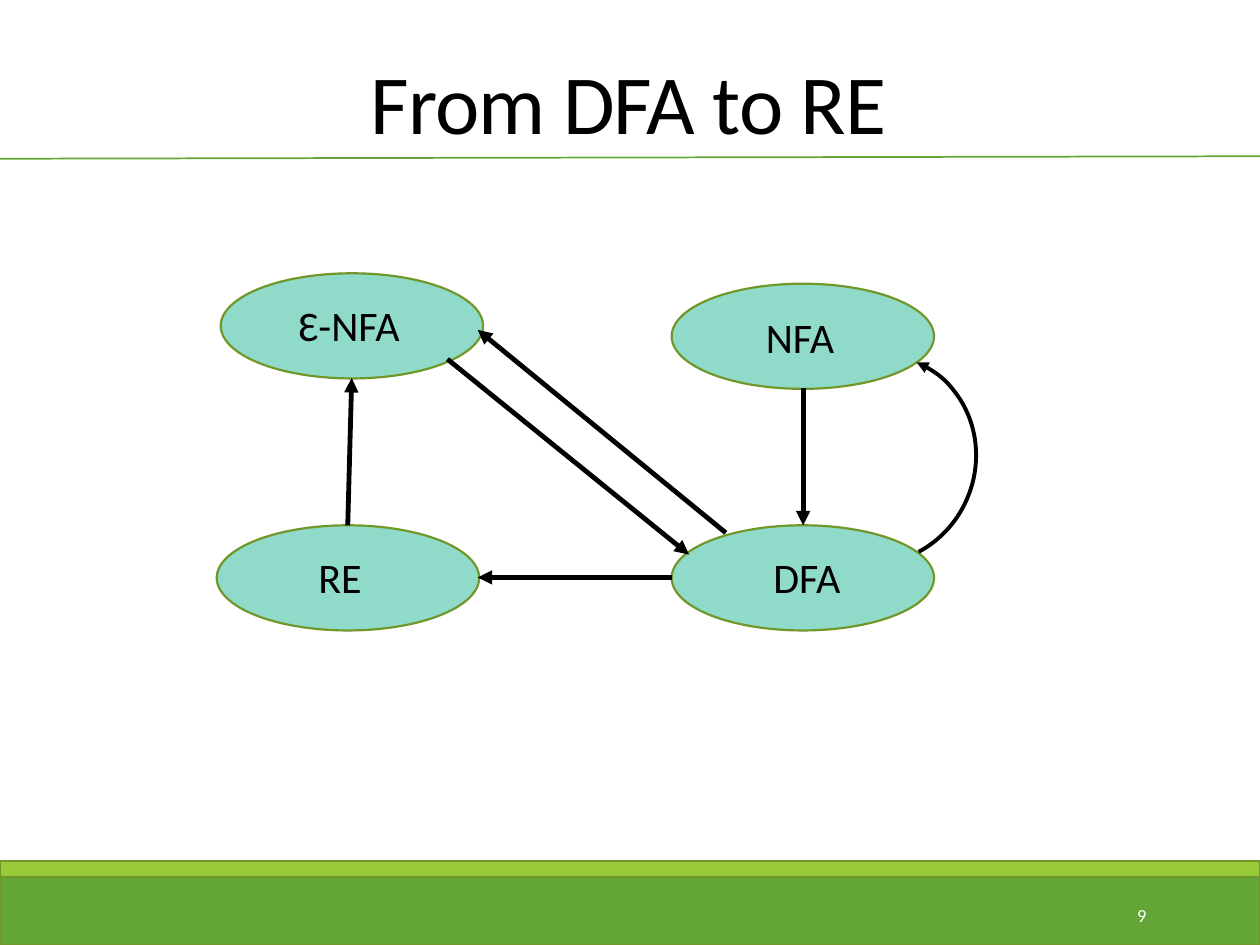
from lxml import etree
from pptx import Presentation
from pptx.dml.color import RGBColor
from pptx.enum.shapes import MSO_CONNECTOR, MSO_SHAPE
from pptx.enum.text import MSO_ANCHOR, MSO_AUTO_SIZE, PP_ALIGN
from pptx.oxml.ns import qn
from pptx.util import Cm, Pt

RECT, OVAL, ARC = MSO_SHAPE.RECTANGLE, MSO_SHAPE.OVAL, MSO_SHAPE.ARC
STRAIGHT = MSO_CONNECTOR.STRAIGHT
BOTTOM, MIDDLE = MSO_ANCHOR.BOTTOM, MSO_ANCHOR.MIDDLE
CENTER, RIGHT = PP_ALIGN.CENTER, PP_ALIGN.RIGHT
FIXED, GROW = MSO_AUTO_SIZE.NONE, MSO_AUTO_SIZE.SHAPE_TO_FIT_TEXT

BLACK = RGBColor(0, 0, 0)
WHITE = RGBColor(0xFF, 0xFF, 0xFF)
GREEN = RGBColor(0x63, 0xA5, 0x37)
LIME = RGBColor(0x99, 0xCB, 0x38)
OLIVE = RGBColor(0x71, 0x96, 0x29)
MINT = RGBColor(0x8F, 0xDA, 0xC8)

FONT = "Calibri"
NODE_W, NODE_H = 5.29, 2.12
NODES = [(4.45, 5.51), (4.37, 10.59), (13.54, 5.72), (13.54, 10.59)]
ARROWS = [
    (16.19, 7.83, 16.19, 10.59),
    (13.54, 11.64, 9.63, 11.64),
    (7.01, 10.59, 7.09, 7.62),
    (9.02, 7.24, 13.89, 11.18),
    (14.63, 10.74, 9.63, 6.65),
]
LABELS = [
    ("\u0510-NFA", 5.77, 5.92, 2.57),
    ("RE", 6.17, 11, 1.4),
    ("NFA", 15.19, 6.15, 1.91),
    ("DFA", 15.34, 11, 1.91),
]


def set_line(shape, color, width):
    shape.line.color.rgb = color
    shape.line.width = Pt(width)


def set_font(p, size, color):
    p.font.name = FONT
    p.font.size = Pt(size)
    p.font.color.rgb = color


def add_arrowhead(shape, end):
    ln = shape.line._get_or_add_ln()
    etree.SubElement(ln, qn(f"a:{end}"), type="triangle")


def add_filled(s, kind, x, y, w, h, fill):
    sp = s.shapes.add_shape(kind, Cm(x), Cm(y), Cm(w), Cm(h))
    sp.shadow.inherit = False
    sp.fill.solid()
    sp.fill.fore_color.rgb = fill
    set_line(sp, OLIVE, 1.25)


def add_straight(s, x1, y1, x2, y2, color, width):
    line = s.shapes.add_connector(STRAIGHT, Cm(x1), Cm(y1), Cm(x2), Cm(y2))
    set_line(line, color, width)
    etree.SubElement(line._element.spPr, qn("a:effectLst"))
    return line


def add_curved_arrow(s):
    arc = s.shapes.add_shape(ARC, Cm(15.65), Cm(7.14), Cm(4.01), Cm(4.24))
    arc.adjustments[0] = 162.28
    arc.adjustments[1] = 25.64
    arc.rotation = 22.4
    arc.shadow.inherit = False
    arc.fill.background()
    set_line(arc, BLACK, 2.25)
    add_arrowhead(arc, "headEnd")


def add_text(s, text, x, y, w, h, size, color):
    tf = s.shapes.add_textbox(Cm(x), Cm(y), Cm(w), Cm(h)).text_frame
    tf.text = text
    set_font(tf.paragraphs[0], size, color)
    return tf


def add_title(s, text):
    title = s.shapes.title
    title.left, title.top, title.width, title.height = Cm(1.24), Cm(0.64), Cm(22.86), Cm(2.54)
    tf = title.text_frame
    tf.text = text
    tf.auto_size = FIXED
    tf.vertical_anchor = BOTTOM
    p = tf.paragraphs[0]
    p.alignment = CENTER
    p.line_spacing = 0.85
    set_font(p, 48, BLACK)
    p.runs[0].font._element.set("spc", "-50")


def add_page_number(s, number):
    tf = add_text(s, number, 20.62, 17.93, 2.74, 1.02, 10.5, WHITE)
    tf.word_wrap = True
    tf.vertical_anchor = MIDDLE
    tf.paragraphs[0].alignment = RIGHT


def main():
    prs = Presentation()
    prs.slide_width, prs.slide_height = Cm(25.4), Cm(19.05)
    s = prs.slides.add_slide(prs.slide_layouts[5])

    add_filled(s, RECT, 0, 17.58, 25.4, 1.47, GREEN)
    add_filled(s, RECT, 0, 17.35, 25.4, 0.33, LIME)
    add_straight(s, -0.08, 3.2, 25.4, 3.15, GREEN, 1)
    add_title(s, "From DFA to RE")
    add_page_number(s, "9")

    for x, y in NODES:
        add_filled(s, OVAL, x, y, NODE_W, NODE_H, MINT)
    for ends in ARROWS:
        add_arrowhead(add_straight(s, *ends, BLACK, 2.75), "tailEnd")
    add_curved_arrow(s)
    for text, x, y, w in LABELS:
        tf = add_text(s, text, x, y, w, 1.27, 24, BLACK)
        tf.word_wrap = False
        tf.auto_size = GROW

    prs.save("out.pptx")


main()
